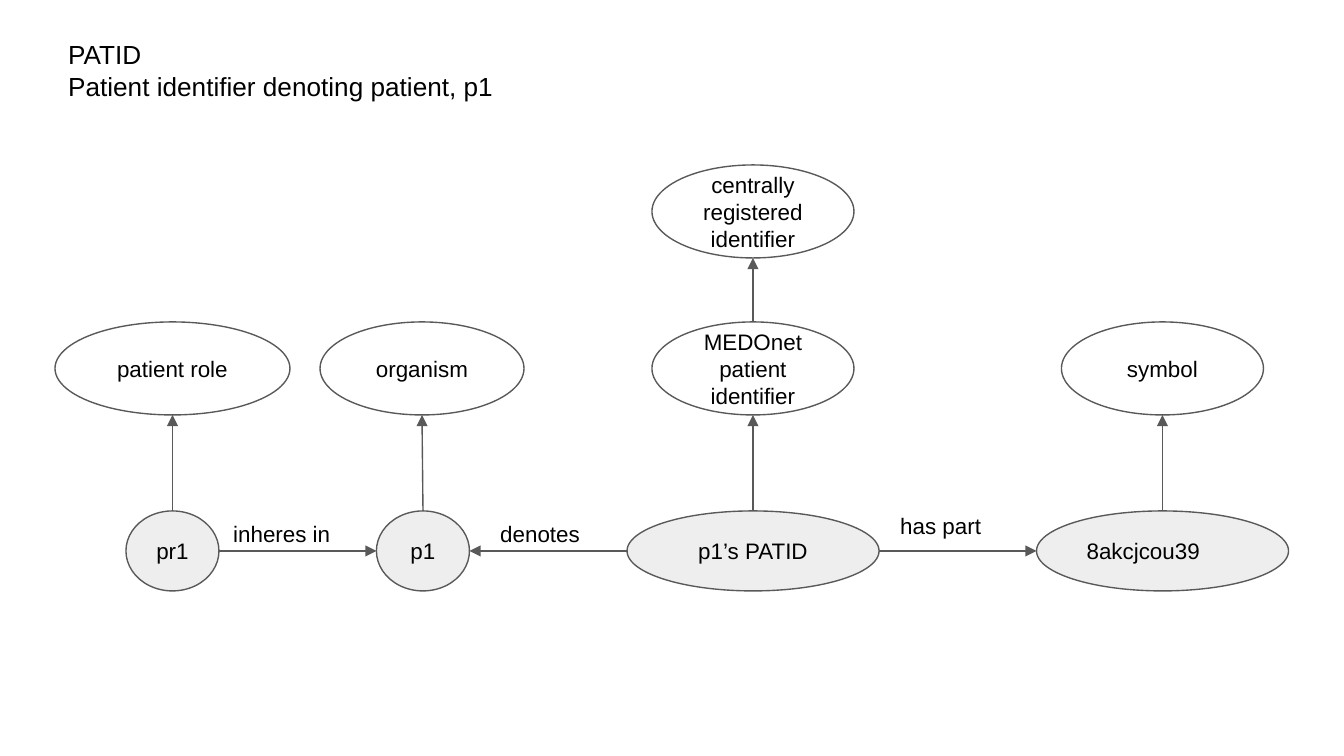
from dataclasses import dataclass

from lxml import etree
from pptx import Presentation
from pptx.dml.color import RGBColor
from pptx.enum.shapes import MSO_CONNECTOR, MSO_SHAPE
from pptx.enum.text import MSO_ANCHOR, MSO_AUTO_SIZE, PP_ALIGN
from pptx.oxml.ns import qn
from pptx.util import Inches, Pt

ELLIPSE = MSO_SHAPE.OVAL
STRAIGHT = MSO_CONNECTOR.STRAIGHT
LEFT, CENTER = PP_ALIGN.LEFT, PP_ALIGN.CENTER
TOP, MIDDLE = MSO_ANCHOR.TOP, MSO_ANCHOR.MIDDLE
FIT_SHAPE = MSO_AUTO_SIZE.SHAPE_TO_FIT_TEXT

WIDTH, HEIGHT = 1344, 756
SCALE = 914400 / 134.4


def px(n):
    """Turn picture pixels into EMU."""
    return round(n * SCALE)


@dataclass(frozen=True)
class Theme:
    """Colours, font and type sizes."""
    ink: str = "000000"
    line: str = "595959"
    instance: str = "EEEEEE"
    font: str = "Arial"
    title: int = 14
    body: int = 12
    stroke: float = 0.75


def put_text(s, text, theme, size, align=LEFT, anchor=TOP, wrap=True, inset=0.1):
    """Write text into a shape, one paragraph per line."""
    tf = s.text_frame
    tf.word_wrap = wrap
    tf.vertical_anchor = anchor
    tf.margin_left = tf.margin_right = Inches(0.1)
    tf.margin_top = tf.margin_bottom = Inches(inset)
    for i, line in enumerate(text.split("\n")):
        p = tf.add_paragraph() if i else tf.paragraphs[0]
        p.alignment = align
        r = p.add_run()
        r.text = line
        r.font.name = theme.font
        r.font.size = Pt(size)
        r.font.color.rgb = RGBColor.from_string(theme.ink)


class Diagram:
    """Holds the theme and the slide being drawn."""

    def __init__(self, slide, theme):
        """Keep the slide and its style."""
        self.shapes = slide.shapes
        self.theme = theme

    def stroke(self, line):
        """Give an outline or connector the common line style."""
        line.color.rgb = RGBColor.from_string(self.theme.line)
        line.width = Pt(self.theme.stroke)

    def node(self, text, cx, top, w, h, fill=None, align=CENTER):
        """Draw an ellipse centred on cx."""
        s = self.shapes.add_shape(ELLIPSE, px(cx - w / 2), px(top), px(w), px(h))
        s.shadow.inherit = False
        if fill:
            s.fill.solid()
            s.fill.fore_color.rgb = RGBColor.from_string(fill)
        else:
            s.fill.background()
        self.stroke(s.line)
        put_text(s, text, self.theme, self.theme.body, align, MIDDLE)
        return s

    def arrow(self, x1, y1, x2, y2):
        """Draw a straight arrow between two points in EMU."""
        c = self.shapes.add_connector(STRAIGHT, x1, y1, x2, y2)
        self.stroke(c.line)
        ln = c.line._get_or_add_ln()
        etree.SubElement(ln, qn("a:tailEnd"), type="triangle", w="med", len="med")
        etree.SubElement(c._element.spPr, qn("a:effectLst"))

    def arrow_up(self, a, b):
        """Point from the top of a to the bottom of b."""
        self.arrow(a.left + a.width // 2, a.top,
                   b.left + b.width // 2, b.top + b.height)

    def arrow_across(self, a, b):
        """Point from the side of a to the facing side of b."""
        x1, x2 = ((a.left + a.width, b.left) if a.left < b.left
                  else (a.left, b.left + b.width))
        self.arrow(x1, a.top + a.height // 2, x2, b.top + b.height // 2)

    def label(self, text, x, y, w, h):
        """Place a relation name."""
        s = self.shapes.add_textbox(px(x), px(y), px(w), px(h))
        put_text(s, text, self.theme, self.theme.body)

    def title(self, text, x, y, w, h):
        """Place the slide heading."""
        s = self.shapes.add_textbox(px(x), px(y), px(w), px(h))
        put_text(s, text, self.theme, self.theme.title, wrap=False, inset=0.05)
        s.text_frame.auto_size = FIT_SHAPE


PARENT_TOP, CLASS_TOP, INSTANCE_TOP = 165, 322, 511
CLASS_H, INSTANCE_H = 93, 80

# instance, centre, width, alignment, class, class centre, class width
COLUMNS = [
    ("pr1", 172.5, 93, CENTER, "patient role", 172.5, 235),
    ("p1", 423, 93, CENTER, "organism", 422, 204),
    ("p1’s PATID", 753, 252, CENTER, "MEDOnet patient identifier", 753, 202),
    ("8akcjcou39", 1162.5, 252, LEFT, "symbol", 1162.5, 202),
]
# from, to, label, label box
RELATIONS = [
    ("pr1", "p1", "inheres in", (220, 507, 169, 44)),
    ("p1’s PATID", "p1", "denotes", (487, 507, 126, 30)),
    ("p1’s PATID", "8akcjcou39", "has part", (887, 499, 141, 44)),
]


def main():
    """Build and save the slide."""
    prs = Presentation()
    prs.slide_width, prs.slide_height = px(WIDTH), px(HEIGHT)
    theme = Theme()
    d = Diagram(prs.slides.add_slide(prs.slide_layouts[6]), theme)

    d.title("PATID\nPatient identifier denoting patient, p1", 55, 32, 454, 77)
    nodes = {}
    for name, cx, w, align, kind, kind_cx, kind_w in COLUMNS:
        nodes[name] = d.node(name, cx, INSTANCE_TOP, w, INSTANCE_H,
                             theme.instance, align)
        nodes[kind] = d.node(kind, kind_cx, CLASS_TOP, kind_w, CLASS_H)
        d.arrow_up(nodes[name], nodes[kind])

    parent = d.node("centrally registered identifier", 753, PARENT_TOP, 202, CLASS_H)
    d.arrow_up(nodes["MEDOnet patient identifier"], parent)

    for start, end, text, box in RELATIONS:
        d.arrow_across(nodes[start], nodes[end])
        d.label(text, *box)
    prs.save("out.pptx")


main()
